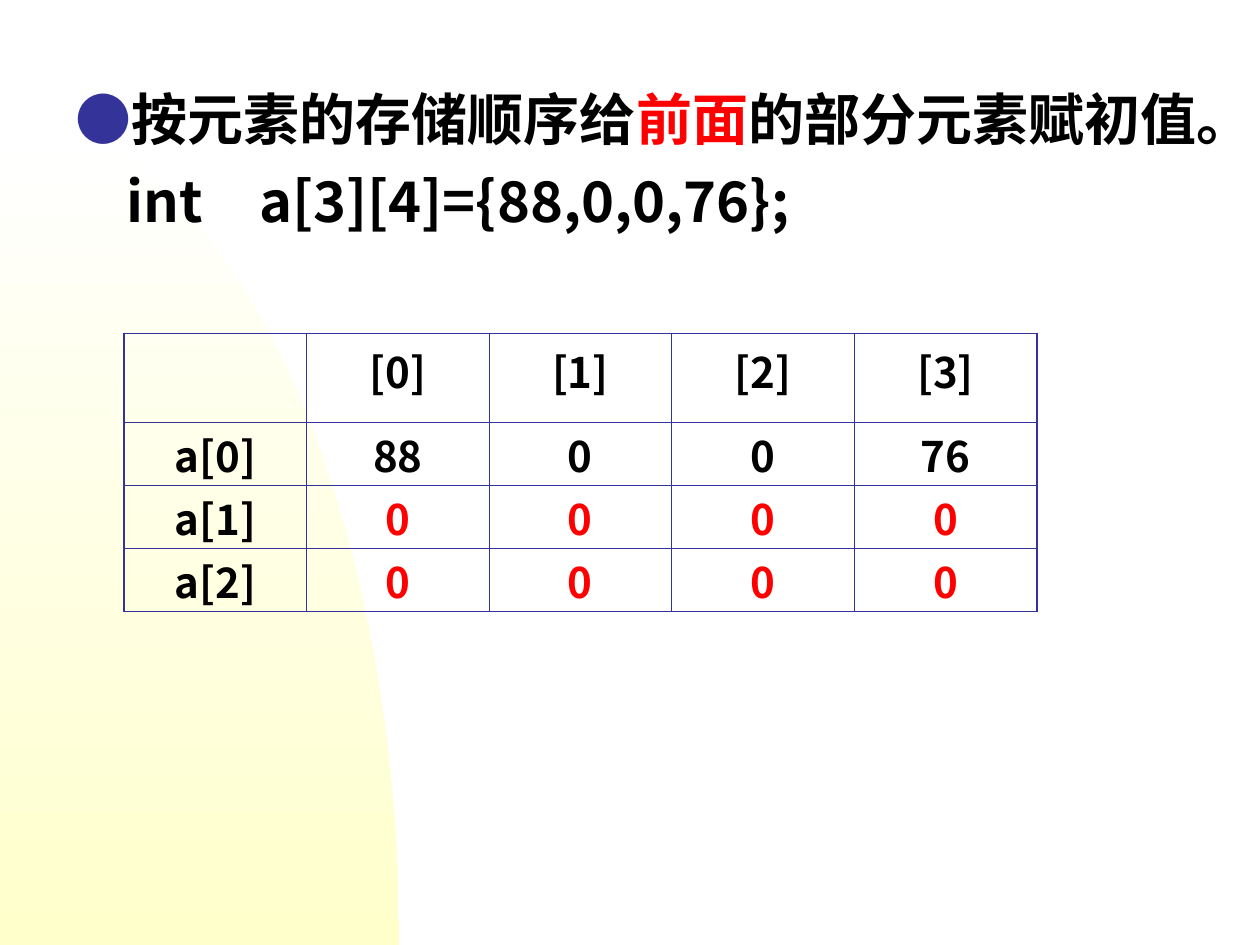
from math import cos, pi, sin

from lxml.etree import SubElement
from pptx import Presentation
from pptx.dml.color import RGBColor
from pptx.enum.text import MSO_ANCHOR, PP_ALIGN
from pptx.oxml.ns import qn
from pptx.util import Emu, Pt

WHITE = RGBColor(0xFF, 0xFF, 0xFF)
CREAM = RGBColor(0xFF, 0xFF, 0xCC)
INK = RGBColor(0x01, 0x00, 0x00)
RED = RGBColor(0xFF, 0x00, 0x00)
INDIGO = RGBColor(0x33, 0x33, 0x99)
CJK = "Noto Sans CJK SC"
WIDTH, HEIGHT = 1260, 945


def emu(px):
    """Turn px into EMU."""
    return Emu(round(px * 914400 / 126))


class SlideBuilder:
    """Hold the style and the page, and add each kind of element."""

    def __init__(self, page):
        """Keep the page to draw on."""
        self.page = page

    def apply(self, target, values):
        """Set attributes from a dict of format values."""
        for name, value in values.items():
            setattr(target, name, value)

    def span(self, para, text, size, color=INK, font=CJK):
        """Add a bold run with an East Asian fallback font."""
        span = para.add_run()
        span.text = text
        span.font.color.rgb = color
        self.apply(span.font, {"size": Pt(size), "bold": True, "name": font})
        SubElement(span.font._element, qn("a:ea"), typeface=CJK)

    def quarter_ellipse(self, width, top, steps=60):
        """Add the gradient quarter ellipse in the lower left corner."""
        radius = HEIGHT - top
        angles = [pi / 2 * step / steps for step in range(steps + 1)]
        points = [(emu(width * sin(a)), emu(HEIGHT - radius * cos(a))) for a in angles]
        outline = self.page.shapes.build_freeform(0, emu(top))
        outline.add_line_segments(points + [(0, emu(HEIGHT))], close=True)
        shape = outline.convert_to_shape()
        shape.shadow.inherit = False
        shape.line.fill.background()
        shape.fill.gradient()
        shape.fill.gradient_angle = 270
        for stop, color in zip(shape.fill.gradient_stops, (WHITE, CREAM)):
            stop.color.rgb = color

    def text(self, left, top, width, height, paragraphs):
        """Add a text box from (indent, spans) paragraphs."""
        box = self.page.shapes.add_textbox(*map(emu, (left, top, width, height)))
        frame = box.text_frame
        self.apply(frame, {"word_wrap": True, "margin_top": emu(4)})
        for index, (indent, spans) in enumerate(paragraphs):
            para = frame.add_paragraph() if index else frame.paragraphs[0]
            para._p.get_or_add_pPr().set("marL", str(emu(indent)))
            self.apply(para, {"line_spacing": Pt(39), "space_before": Pt(8 if index else 0)})
            for span in spans:
                self.span(para, *span)

    def border(self, cell, side, width):
        """Draw one side of a cell, or clear it when the width is zero."""
        line = SubElement(cell._tc.get_or_add_tcPr(), qn(f"a:ln{side}"), w=str(Pt(width)))
        if width:
            fill = SubElement(line, qn("a:solidFill"))
            SubElement(fill, qn("a:srgbClr"), val=str(INDIGO))
        else:
            SubElement(line, qn("a:noFill"))

    def table(self, left, top, width, heights, rows):
        """Add a ruled table with red zero rows and an open last row."""
        count = len(rows[0])
        frame = self.page.shapes.add_table(
            len(rows), count, *map(emu, (left, top, width, sum(heights))))
        table = frame.table
        self.apply(table, {"first_row": False, "horz_banding": False})
        for column in table.columns:
            column.width = emu(width / count)
        for r, (height, values) in enumerate(zip(heights, rows)):
            table.rows[r].height = emu(height)
            is_open = not any(values)
            for c, value in enumerate(values):
                cell = table.cell(r, c)
                outer = {"L": c == 0, "R": c == count - 1, "T": False, "B": False}
                for side, thick in outer.items():
                    ruled = 1.08 if thick else 0.45
                    self.border(cell, side, 0 if is_open and side != "T" else ruled)
                cell.fill.background()
                self.apply(cell, {
                    "margin_top": emu(5 if r else 10),
                    "margin_bottom": 0,
                    "vertical_anchor": MSO_ANCHOR.TOP,
                })
                para = cell.text_frame.paragraphs[0]
                para.alignment = PP_ALIGN.CENTER
                if value:
                    para.line_spacing = Pt(33)
                    self.span(para, value, 24, RED if r > 1 and c else INK)


def main():
    """Build the slide and save the deck."""
    deck = Presentation()
    deck.slide_width, deck.slide_height = emu(WIDTH), emu(HEIGHT)
    page = deck.slides.add_slide(deck.slide_layouts[6])
    page.background.fill.solid()
    page.background.fill.fore_color.rgb = WHITE
    builder = SlideBuilder(page)
    builder.quarter_ellipse(399, 116)
    builder.text(0, 79, 1231, 161, [
        (63, [
            ("●", 32, INDIGO, "Arial"),
            ("按元素的存储顺序给", 32),
            ("前面", 32, RED),
            ("的部分元素赋初值。", 32),
        ]),
        (114, [("int　a[3][4]={88,0,0,76};", 32)]),
    ])
    values = [["88", "0", "0", "76"], ["0"] * 4, ["0"] * 4]
    header = [""] + [f"[{column}]" for column in range(4)]
    body = [[f"a[{row}]"] + cells for row, cells in enumerate(values)]
    builder.table(124, 333, 913, [89, 63, 63, 63, 63], [header] + body + [[""] * 5])
    deck.save("out.pptx")


if __name__ == "__main__":
    main()
